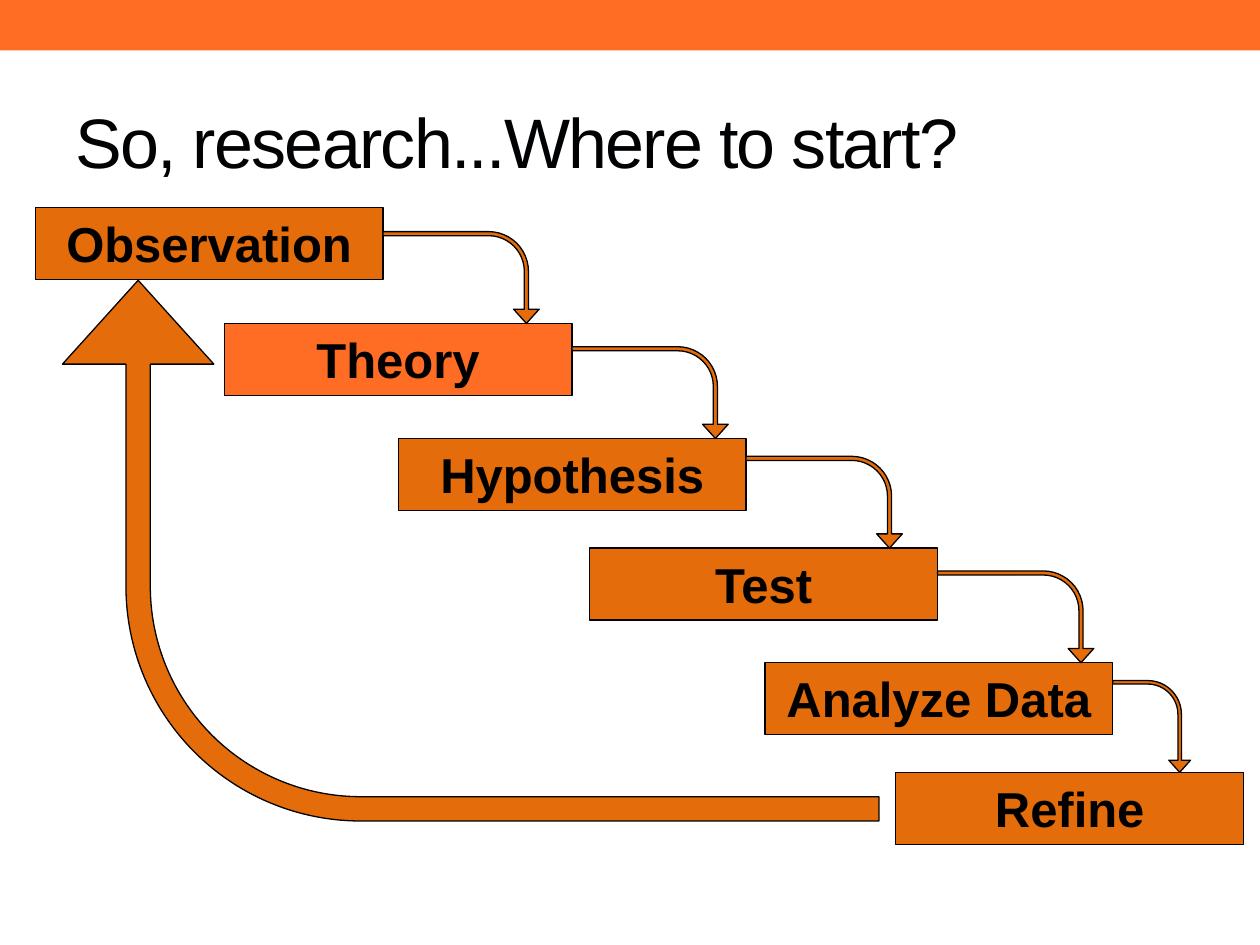
"""Build a slide showing the research cycle as a staircase of steps."""
from dataclasses import dataclass
from itertools import pairwise

from pptx import Presentation
from pptx.dml.color import RGBColor
from pptx.enum.shapes import MSO_SHAPE
from pptx.enum.text import MSO_ANCHOR, PP_ALIGN
from pptx.shapes.autoshape import Shape
from pptx.slide import Slide
from pptx.text.text import Font
from pptx.util import Cm, Pt

RECT = MSO_SHAPE.RECTANGLE
BENT = MSO_SHAPE.BENT_ARROW
CENTER = PP_ALIGN.CENTER
LEFT = PP_ALIGN.LEFT
MIDDLE = MSO_ANCHOR.MIDDLE
TOP = MSO_ANCHOR.TOP

COLORS = {"band": "FF6C24", "step": "E46C0A", "title": "010204", "ink": "000000"}
FONT = "Arial"
WIDE, HIGH = 7.01, 1.45
DROP = 1.85
BENDS = (0.045, 0.14, 0.155, 0.434)


@dataclass
class Step:
    name: str
    left: float
    top: float
    fill: str = "step"
    reach: float = 3.15


STEPS = [
    Step("Observation", 0.71, 4.18),
    Step("Theory", 4.52, 6.52, fill="band"),
    Step("Hypothesis", 8.03, 8.84),
    Step("Test", 11.89, 11.05),
    Step("Analyze Data", 15.42, 13.36, reach=1.57),
    Step("Refine", 18.06, 15.57),
]


def tint(key: str) -> RGBColor:
    return RGBColor.from_string(COLORS[key])


def style(font: Font, size: float, key: str, bold: bool) -> None:
    font.name, font.size, font.bold = FONT, Pt(size), bold
    font.color.rgb = tint(key)


def draw(slide: Slide, kind: MSO_SHAPE, left: float, top: float,
         wide: float, high: float, fill: str, edge: bool = True) -> Shape:
    shape = slide.shapes.add_shape(kind, Cm(left), Cm(top), Cm(wide), Cm(high))
    shape.shadow.inherit = False
    shape.fill.solid()
    shape.fill.fore_color.rgb = tint(fill)
    if edge:
        shape.line.color.rgb = tint("ink")
        shape.line.width = Pt(0.75)
    else:
        shape.line.fill.background()
    return shape


def add_title(slide: Slide, text: str) -> None:
    title = slide.shapes.title
    title.left, title.top, title.width, title.height = Cm(1.27), Cm(1.47), Cm(22.86), Cm(2.74)
    frame = title.text_frame
    frame.text = text
    frame.vertical_anchor = MIDDLE
    line = frame.paragraphs[0]
    line.alignment = LEFT
    run = line.runs[0]
    style(run.font, 40, "title", False)
    run._r.get_or_add_rPr().set("spc", "-100")


def add_step(slide: Slide, step: Step) -> None:
    box = draw(slide, RECT, step.left, step.top, WIDE, HIGH, step.fill)
    frame = box.text_frame
    frame.text = step.name
    frame.word_wrap = True
    frame.vertical_anchor = TOP
    line = frame.paragraphs[0]
    line.alignment = CENTER
    style(line.runs[0].font, 28, "ink", True)


def add_bend(slide: Slide, left: float, top: float, wide: float,
             high: float, turn: int) -> None:
    """Draw a quarter-turned arrow that fills the given area."""
    shift = (wide - high) / 2
    arrow = draw(slide, BENT, left + shift, top - shift, high, wide, "step")
    arrow.rotation = turn
    for spot, bend in enumerate(BENDS):
        arrow.adjustments[spot] = bend


def main() -> None:
    deck = Presentation()
    deck.slide_width, deck.slide_height = Cm(25.4), Cm(19.05)
    slide = deck.slides.add_slide(deck.slide_layouts[5])
    draw(slide, RECT, 0, 0, 25.4, 1.02, "band", edge=False)
    add_title(slide, "So, research...Where to start?")
    for step in STEPS:
        add_step(slide, step)
    add_bend(slide, 1.26, 5.65, 16.46, 10.9, 270)
    for step, after in pairwise(STEPS):
        add_bend(slide, step.left + WIDE, after.top - DROP, step.reach, DROP, 90)
    deck.save("out.pptx")


if __name__ == "__main__":
    main()
